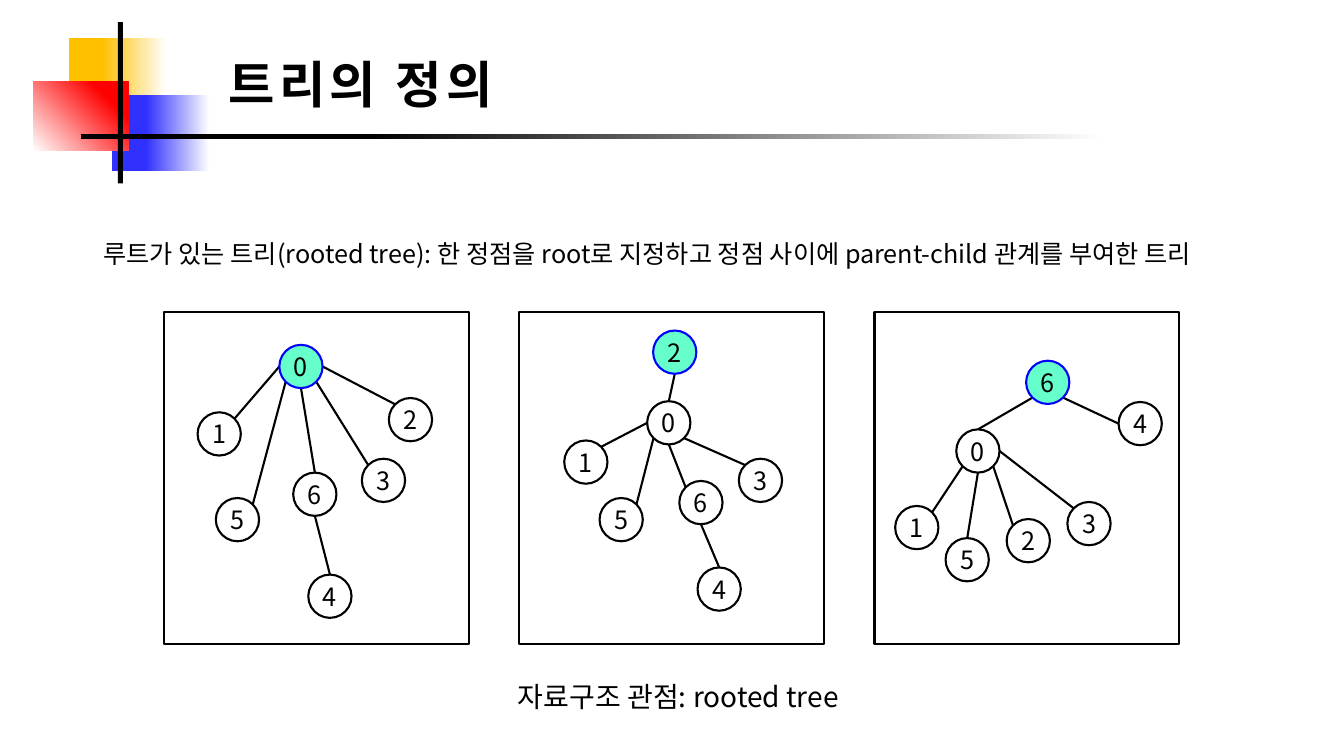
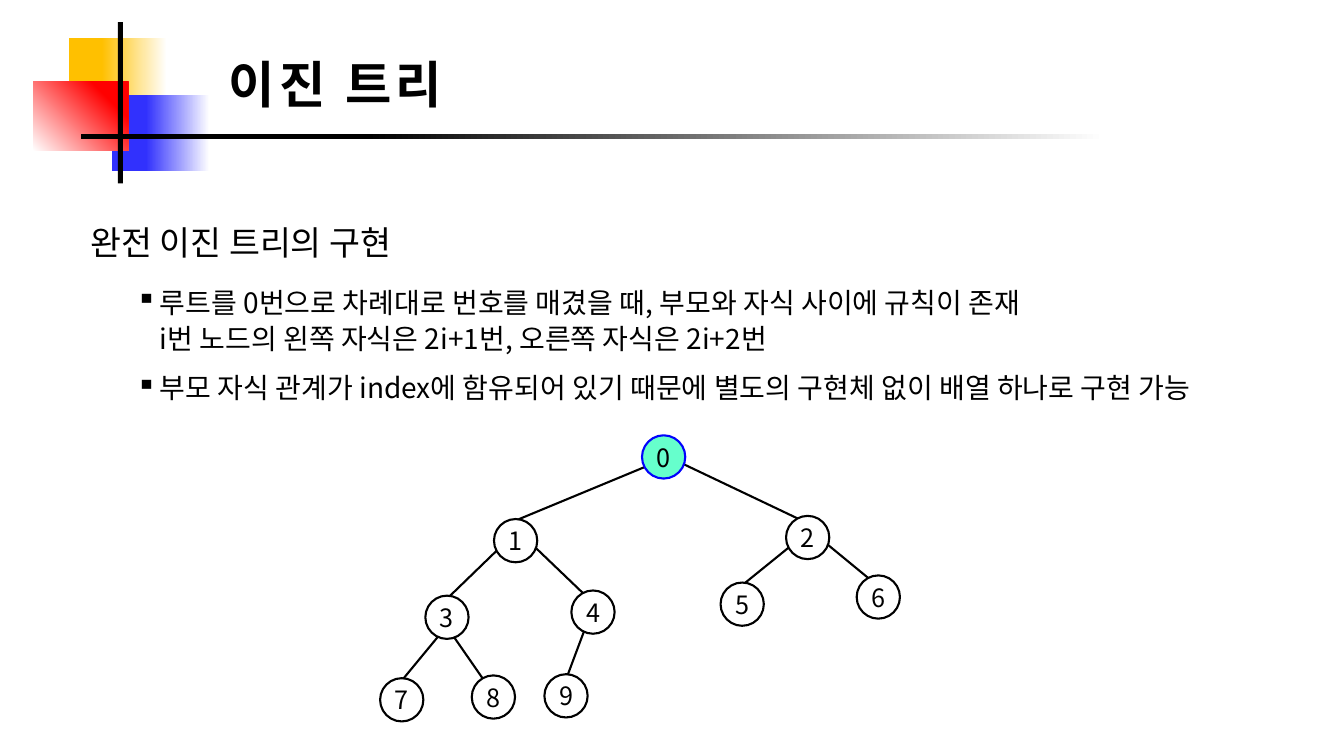
"""Builds two slides about rooted trees and complete binary trees."""
from math import cos, radians, sin

from lxml import etree
from pptx import Presentation
from pptx.dml.color import RGBColor
from pptx.enum.shapes import MSO_CONNECTOR, MSO_SHAPE
from pptx.enum.text import MSO_ANCHOR, PP_ALIGN
from pptx.oxml.ns import qn
from pptx.util import Cm, Pt

RECT, OVAL = MSO_SHAPE.RECTANGLE, MSO_SHAPE.OVAL
LINE = MSO_CONNECTOR.STRAIGHT
MIDDLE, CENTER, LEFT = MSO_ANCHOR.MIDDLE, PP_ALIGN.CENTER, PP_ALIGN.LEFT
FONT = "Noto Sans CJK KR"
BLACK, WHITE, MINT, BLUE = "000000", "FFFFFF", "66FFCC", "0202FC"
NODE = 1.09

BANDS = [
    ((1.75, 0.97, 2.46, 2.41), "FFC000", 0.67, 180),
    ((2.82, 2.39, 2.46, 1.91), "3131FD", 0.65, 180),
    ((0.84, 2.06, 2.39, 1.73), "FF0000", 0.78, 45),
    ((2.97, 0.56, 0.13, 4.06), BLACK, None, None),
    ((2.03, 3.38, 25.81, 0.13), BLACK, 0.72, 180),
]

ROOTED = {
    "title": "트리의 정의",
    "intro": "루트가 있는 트리(rooted tree): 한 정점을 root로 지정하고 "
             "정점 사이에 parent-child 관계를 부여한 트리",
    "caption": "자료구조 관점: rooted tree",
}
TREES = [
    {"root": 0,
     "nodes": {0: (7.04, 8.69), 1: (4.98, 10.39), 2: (9.8, 10.03),
               3: (9.12, 11.56), 4: (7.77, 14.48), 5: (5.44, 12.55),
               6: (7.39, 11.91)},
     "edges": [(0, 1, 90, 315), (0, 5, 135, 315), (0, 6, 180, 0),
               (0, 3, 225, 45), (0, 2, 270, 45), (6, 4, 180, 0)]},
    {"root": 2,
     "nodes": {0: (16.31, 10.11), 1: (14.22, 11.1), 2: (16.46, 8.33),
               3: (18.62, 11.56), 4: (17.58, 14.3), 5: (15.11, 12.55),
               6: (17.12, 12.12)},
     "edges": [(2, 0, 180, 0), (0, 1, 90, 315), (0, 5, 135, 315),
               (0, 6, 180, 45), (0, 3, 225, 45), (6, 4, 180, 0)]},
    {"root": 6,
     "nodes": {0: (24.1, 10.82), 1: (22.56, 12.75), 2: (25.37, 13.08),
               3: (26.9, 12.65), 4: (28.19, 10.13), 5: (23.83, 13.56),
               6: (25.86, 9.09)},
     "edges": [(6, 0, 135, 0), (6, 4, 225, 90), (0, 1, 135, 315),
               (0, 5, 180, 0), (0, 2, 225, 45), (0, 3, 270, 45)]},
]

BINARY = {
    "title": "이진 트리",
    "head": "완전 이진 트리의 구현",
    "points": [
        ("루트를 0번으로 차례대로 번호를 매겼을 때, 부모와 자식 사이에 규칙이 존재", True, 0),
        ("i번 노드의 왼쪽 자식은 2i+1번, 오른쪽 자식은 2i+2번", False, 2),
        ("부모 자식 관계가 index에 함유되어 있기 때문에 별도의 구현체 없이 "
         "배열 하나로 구현 가능", True, 11),
    ],
}
HEAP = [(16.18, 10.97), (12.45, 13.08), (19.81, 13), (10.72, 15.01),
        (14.4, 14.88), (18.16, 14.68), (21.59, 14.5), (9.58, 17.09),
        (11.89, 17.02), (13.72, 16.99)]
UPPER = [(118, -8), (250, 28)]
LOWER = [(155, -5), (200, 30)]


def color(code):
    """Turn a hex string into a colour."""
    return RGBColor.from_string(code)


def write(frame, text, size=18, bold=False, track=0, align=LEFT,
          before=0, bullet=None, hang=0, first=True):
    """Write one formatted paragraph into a text frame."""
    para = frame.paragraphs[0] if first else frame.add_paragraph()
    props = para._p.get_or_add_pPr()
    if hang:
        props.set("marL", str(Cm(hang)))
        props.set("indent", str(-Cm(hang) if bullet else 0))
    if bullet:
        etree.SubElement(props, qn("a:buChar"), char=bullet)
    para.alignment = align
    if before:
        para.space_before = Pt(before)
    run = para.add_run()
    run.text = text
    font = run.font
    font.name, font.size, font.bold = FONT, Pt(size), bold
    font.color.rgb = color(BLACK)
    mark = run._r.get_or_add_rPr()
    if track:
        mark.set("spc", str(track * 100))
    etree.SubElement(mark, qn("a:ea"), typeface=FONT)


def textbox(slide, box):
    """Add a wrapping text box and return its frame."""
    frame = slide.shapes.add_textbox(*map(Cm, box)).text_frame
    frame.word_wrap = True
    return frame


def shape(slide, kind, box, fill=None, line=None):
    """Add a flat preset shape."""
    item = slide.shapes.add_shape(kind, *map(Cm, box))
    item.shadow.inherit = False
    if fill:
        item.fill.solid()
        item.fill.fore_color.rgb = color(fill)
    else:
        item.fill.background()
    if line:
        item.line.color.rgb = color(line)
        item.line.width = Pt(1.5)
    else:
        item.line.fill.background()
    return item


def start(deck, title):
    """Add a slide with the shared bands and title."""
    slide = deck.slides.add_slide(deck.slide_layouts[6])
    write(textbox(slide, (5.51, 1.22, 18.59, 1.8)), title,
          size=36, bold=True, track=3)
    for box, tint, stop, angle in BANDS:
        band = shape(slide, RECT, box, fill=tint)
        if stop:
            band.fill.gradient()
            band.fill.gradient_angle = angle
            ends = band.fill.gradient_stops
            for end, place, code in zip(ends, (0, stop), (WHITE, tint)):
                end.position = place
                end.color.rgb = color(code)
    return slide


def rim(spot, angle):
    """Find a point on a node's rim, counterclockwise from its top."""
    turn, half = radians(angle), NODE / 2
    return (Cm(spot[0] + half - half * sin(turn)),
            Cm(spot[1] + half - half * cos(turn)))


def tree(slide, nodes, edges, root):
    """Draw a tree's edges and then its numbered nodes."""
    for top, child, out, into in edges:
        edge = slide.shapes.add_connector(
            LINE, *rim(nodes[top], out), *rim(nodes[child], into))
        edge.line.color.rgb = color(BLACK)
        edge.line.width = Pt(1.5)
        etree.SubElement(edge._element.spPr, qn("a:effectLst"))
    for num, spot in nodes.items():
        fill, line = (MINT, BLUE) if num == root else (WHITE, BLACK)
        node = shape(slide, OVAL, (*spot, NODE, NODE), fill, line)
        frame = node.text_frame
        frame.margin_left = frame.margin_right = Cm(0)
        frame.margin_top = frame.margin_bottom = Cm(0)
        frame.vertical_anchor = MIDDLE
        write(frame, str(num), align=CENTER)


def rooted(deck):
    """Build the slide on rooted trees."""
    slide = start(deck, ROOTED["title"])
    write(textbox(slide, (2.36, 5.89, 29.01, 1.02)), ROOTED["intro"])
    for col, item in enumerate(TREES):
        shape(slide, RECT, (4.14 + 8.95 * col, 7.86, 7.67, 8.36), line=BLACK)
        tree(slide, **item)
    write(textbox(slide, (12.8, 16.99, 8.61, 1.12)), ROOTED["caption"], size=20)


def binary(deck):
    """Build the slide on complete binary trees."""
    slide = start(deck, BINARY["title"])
    write(textbox(slide, (2.03, 5.46, 29.34, 1.27)), BINARY["head"], size=24)
    frame = textbox(slide, (3.18, 7.06, 29, 3.6))
    for row, (text, dot, gap) in enumerate(BINARY["points"]):
        write(frame, text, size=20, before=gap, hang=0.6,
              bullet="▪" if dot else None, first=row == 0)
    edges = []
    for child in range(1, len(HEAP)):
        top, side = divmod(child - 1, 2)
        ends = LOWER if child > 6 else UPPER
        edges.append((top, child, *ends[side]))
    tree(slide, dict(enumerate(HEAP)), edges, 0)


def main():
    """Build and save the deck."""
    deck = Presentation()
    deck.slide_width, deck.slide_height = Cm(33.87), Cm(19.05)
    rooted(deck)
    binary(deck)
    deck.save("out.pptx")


if __name__ == "__main__":
    main()
